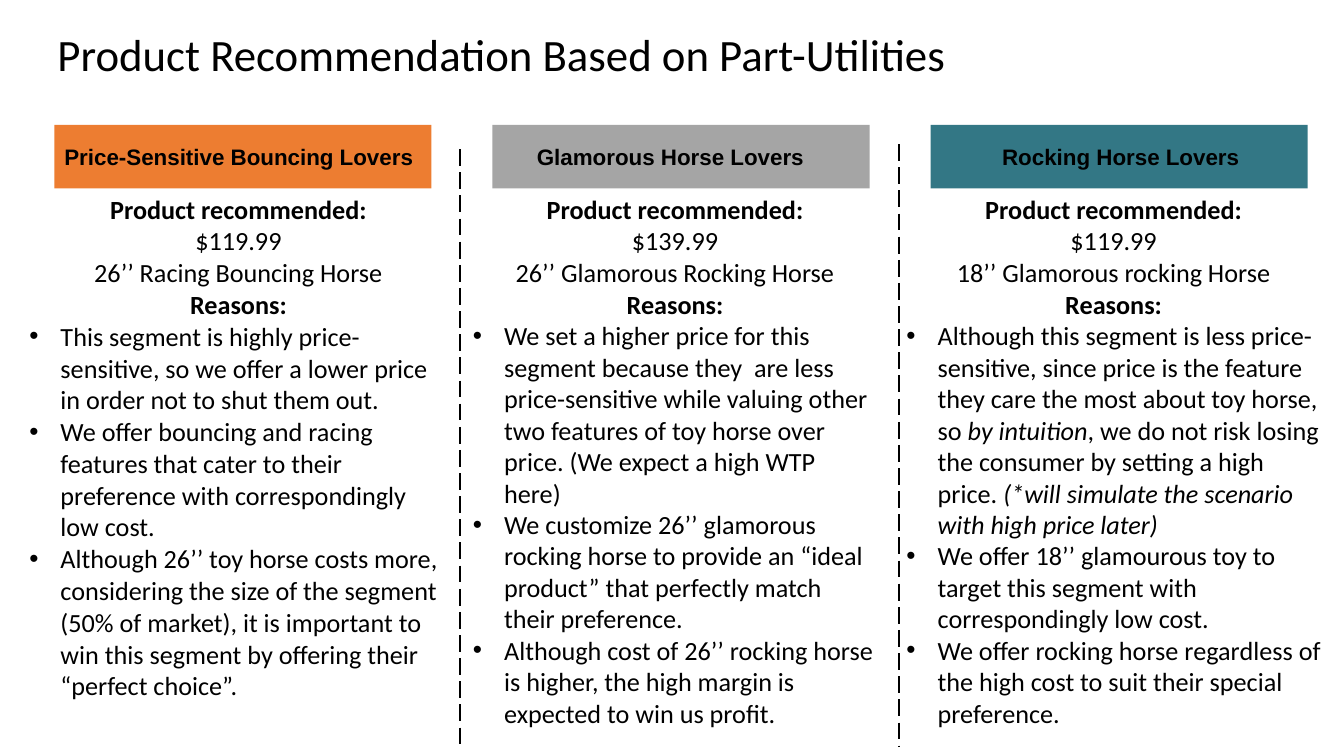
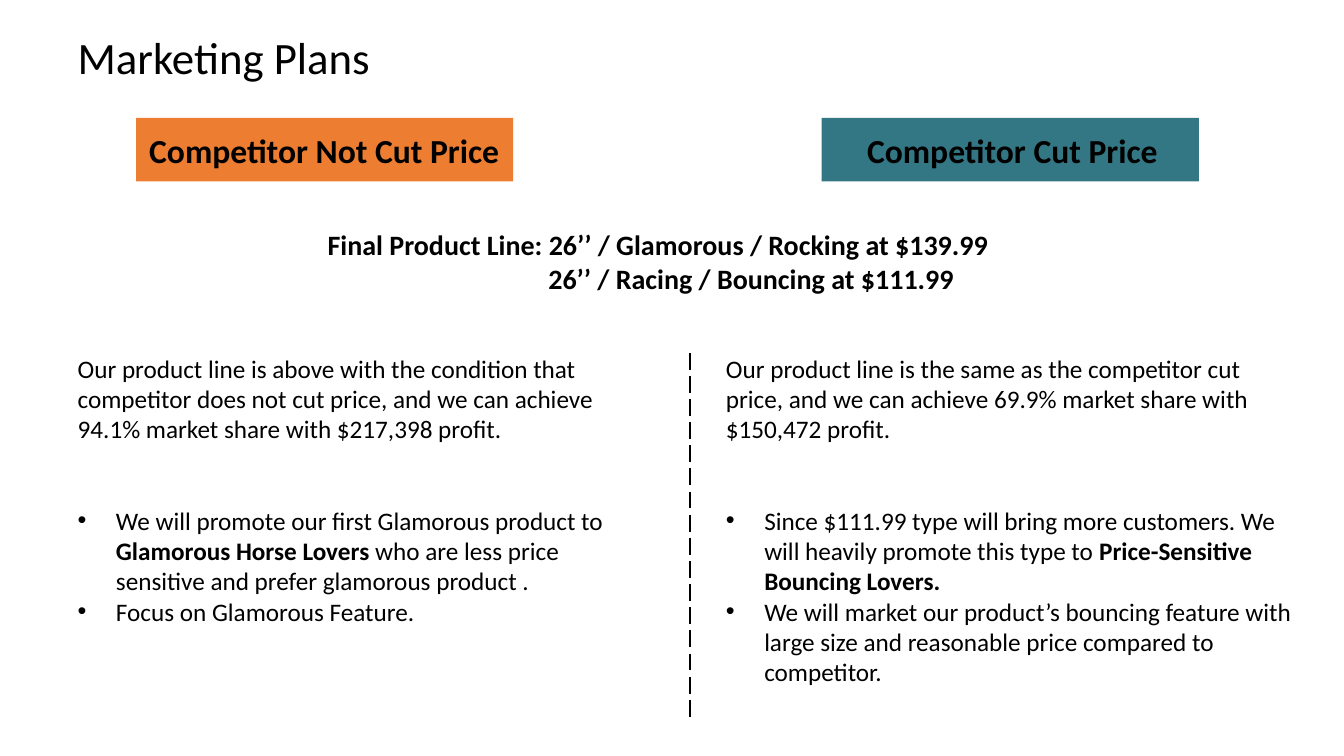
from lxml.etree import SubElement
from pptx import Presentation
from pptx.dml.color import RGBColor
from pptx.enum.dml import MSO_LINE
from pptx.enum.shapes import MSO_CONNECTOR, MSO_SHAPE
from pptx.enum.text import MSO_ANCHOR, MSO_AUTO_SIZE, PP_ALIGN
from pptx.oxml.ns import qn
from pptx.util import Inches, Pt

BLACK, ORANGE, GREY, TEAL = "000000", "ED7D31", "A5A5A5", "337785"
BODY_FONT = "Calibri"
BAND_WIDTH, BAND_HEIGHT = 3.74, 0.63
TWO_CONTENT, COMPARISON = 3, 4

# Each segment: column box, band colour, label font inset, label, offer, line pitch, reasons.
# A paragraph is a list of spans; a span is text, or text with "b" (bold) or "i" (italic).
SEGMENTS = [
    ((0.19, 1.86, 4.35, 5.25), ORANGE, 0.1, "Price-Sensitive Bouncing Lovers",
     ["$119.99", "26’’ Racing Bouncing Horse"], Pt(22.7), [
        ["This segment is highly price-sensitive, so we offer a lower price in order "
         "not to shut them out."],
        ["We offer bouncing and racing features that cater to their preference with "
         "correspondingly low cost."],
        ["Although 26’’ toy horse costs more, considering the size of the segment "
         "(50% of market), it is important to win this segment by offering their "
         "“perfect choice”."]]),
    ((4.59, 1.86, 4.21, 5.48), GREY, 0.44, "Glamorous Horse Lovers",
     ["$139.99", "26’’ Glamorous Rocking Horse"], 1.0, [
        ["We set a higher price for this segment because they  are less "
         "price-sensitive while valuing other two features of toy horse over price. "
         "(We expect a high WTP here)"],
        ["We customize 26’’ glamorous rocking horse to provide an “ideal product” "
         "that perfectly match their preference."],
        ["Although cost of 26’’ rocking horse is higher, the high margin is expected "
         "to win us profit."]]),
    ((8.89, 1.86, 4.31, 5.48), TEAL, 0.71, "Rocking Horse Lovers",
     ["$119.99", "18’’ Glamorous rocking Horse"], 1.0, [
        ["Although this segment is less price-sensitive, since price is the feature "
         "they care the most about toy horse, so ", ("by intuition", "i"),
         ", we do not risk losing the consumer by setting a high price. ",
         ("(*will simulate the scenario with high price later)", "i")],
        ["We offer 18’’ glamourous toy to target this segment with correspondingly "
         "low cost."],
        ["We offer rocking horse regardless of the high cost to suit their special "
         "preference."]]),
]

# Each scenario: column left, band left, band colour, label inset, label, outcome, actions.
SCENARIOS = [
    (0.67, 1.35, ORANGE, 0.13, "Competitor Not Cut Price",
     "Our product line is above with the condition that competitor does not cut "
     "price, and we can achieve 94.1% market share with $217,398 profit.", [
        ["We will promote our first Glamorous product to ",
         ("Glamorous Horse Lovers", "b"),
         " who are less price sensitive and prefer glamorous product ."],
        ["Focus on Glamorous Feature."]]),
    (7.1, 8.15, TEAL, 0.45, "Competitor Cut Price",
     "Our product line is the same as the competitor cut price, and we can achieve "
     "69.9% market share with $150,472 profit.", [
        ["Since $111.99 type will bring more customers. We will heavily promote "
         "this type to ", ("Price-Sensitive Bouncing Lovers.", "b")],
        ["We will market our product’s bouncing feature with large size and "
         "reasonable price compared to competitor."]]),
]


def rgb(color):
    return RGBColor.from_string(color)


def place(shape, box):
    shape.left, shape.top, shape.width, shape.height = map(Inches, box)


def style(font, size, name=BODY_FONT, bold=False, italic=False):
    font.size, font.name, font.bold, font.italic = Pt(size), name, bold, italic
    font.color.rgb = rgb(BLACK)


def prepare_frame(shape):
    frame = shape.text_frame
    frame.word_wrap = True
    frame.auto_size = MSO_AUTO_SIZE.NONE
    frame.vertical_anchor = MSO_ANCHOR.TOP
    return frame


def add_paragraph(frame, spans, size, align=PP_ALIGN.LEFT, spacing=1.0,
                  before=0, margin=0, bullet=False):
    """Append a paragraph, using the frame's first one while it is empty."""
    first = frame.paragraphs[0]
    paragraph = frame.add_paragraph() if first.runs else first
    paragraph.alignment, paragraph.line_spacing = align, spacing
    paragraph.space_before, paragraph.space_after = Pt(before), Pt(0)
    for span in spans:
        text, emphasis = (span, "") if isinstance(span, str) else span
        run = paragraph.add_run()
        run.text = text
        style(run.font, size, bold=emphasis == "b", italic=emphasis == "i")
    properties = paragraph._p.get_or_add_pPr()
    properties.set("marL", str(Inches(margin)))
    properties.set("indent", str(Inches(-margin if bullet else 0)))
    if bullet:
        SubElement(properties, qn("a:buFont")).set("typeface", "Arial")
        SubElement(properties, qn("a:buChar")).set("char", "•")
    else:
        SubElement(properties, qn("a:buNone"))


def add_titled_slide(deck, layout, title, left, top):
    slide = deck.slides.add_slide(deck.slide_layouts[layout])
    heading = slide.shapes.title
    place(heading, (left, top, 12.74, 0.74))
    frame = heading.text_frame
    frame.text = title
    frame.vertical_anchor = MSO_ANCHOR.MIDDLE
    paragraph = frame.paragraphs[0]
    paragraph.alignment, paragraph.line_spacing = PP_ALIGN.LEFT, 0.9
    style(paragraph.runs[0].font, 32)
    return slide


def add_band(slide, left, top, color, label, inset, size, font_name):
    band = slide.shapes.add_shape(MSO_SHAPE.RECTANGLE, 0, 0, 0, 0)
    place(band, (left, top, BAND_WIDTH, BAND_HEIGHT))
    band.shadow.inherit = False
    band.fill.solid()
    band.fill.fore_color.rgb = rgb(color)
    band.line.fill.background()
    frame = band.text_frame
    frame.word_wrap = True
    frame.margin_left, frame.margin_right = Inches(inset), 0
    frame.vertical_anchor = MSO_ANCHOR.MIDDLE
    frame.text = label
    frame.paragraphs[0].alignment = PP_ALIGN.LEFT
    style(frame.paragraphs[0].runs[0].font, size, font_name, bold=True)


def add_divider(slide, x, top, bottom):
    divider = slide.shapes.add_connector(
        MSO_CONNECTOR.STRAIGHT, Inches(x), Inches(top), Inches(x), Inches(bottom))
    divider.line.color.rgb = rgb(BLACK)
    divider.line.width = Pt(1.5)
    divider.line.dash_style = MSO_LINE.LONG_DASH
    SubElement(divider._element.spPr, qn("a:effectLst"))


def fill_segment(column, box, offer, pitch, reasons):
    place(column, box)
    frame = prepare_frame(column)
    heads = [("Product recommended:", "b"), *offer, ("Reasons:", "b")]
    for head in heads:
        add_paragraph(frame, [head], 18.7, PP_ALIGN.CENTER, Pt(22.7))
    for reason in reasons:
        add_paragraph(frame, reason, 18.7, spacing=pitch, margin=0.31, bullet=True)


def fill_scenario(column, left, outcome, actions):
    place(column, (left, 3.45, 5.83, 3.4))
    frame = prepare_frame(column)
    add_paragraph(frame, [outcome], 18)
    for index, action in enumerate(actions):
        add_paragraph(frame, action, 18, before=0 if index else 44,
                      margin=0.38, bullet=True)


def add_product_line(slide, box):
    product_line = slide.shapes.add_textbox(0, 0, 0, 0)
    place(product_line, box)
    frame = prepare_frame(product_line)
    add_paragraph(frame, [("Final Product Line: 26’’ / Glamorous / Rocking at $139.99", "b")], 20)
    add_paragraph(frame, [("26’’ / Racing / Bouncing at $111.99", "b")], 20, margin=2.19)


def build_recommendations(deck):
    slide = add_titled_slide(
        deck, COMPARISON, "Product Recommendation Based on Part-Utilities", 0.47, 0.2)
    *columns, spare = list(slide.placeholders)[1:]
    spare._element.getparent().remove(spare._element)
    for index, (column, segment) in enumerate(zip(columns, SEGMENTS)):
        box, color, inset, label, offer, pitch, reasons = segment
        add_band(slide, 0.54 + index * 4.345, 1.24, color, label, inset, 16, "Arial")
        fill_segment(column, box, offer, pitch, reasons)
    add_divider(slide, 4.56, 1.48, 7.4)
    add_divider(slide, 8.92, 1.43, 7.4)


def build_marketing_plans(deck):
    slide = add_titled_slide(deck, TWO_CONTENT, "Marketing Plans", 0.67, 0.22)
    columns = list(slide.placeholders)[1:]
    for column, scenario in zip(columns, SCENARIOS):
        left, band_left, color, inset, label, outcome, actions = scenario
        add_band(slide, band_left, 1.17, color, label, inset, 24, BODY_FONT)
        fill_scenario(column, left, outcome, actions)
    add_product_line(slide, (3.15, 2.21, 7.78, 0.8))
    add_divider(slide, 6.84, 3.5, 7.15)


def main():
    deck = Presentation()
    deck.slide_width, deck.slide_height = Inches(13.33), Inches(7.5)
    build_recommendations(deck)
    build_marketing_plans(deck)
    deck.save("out.pptx")


if __name__ == "__main__":
    main()
